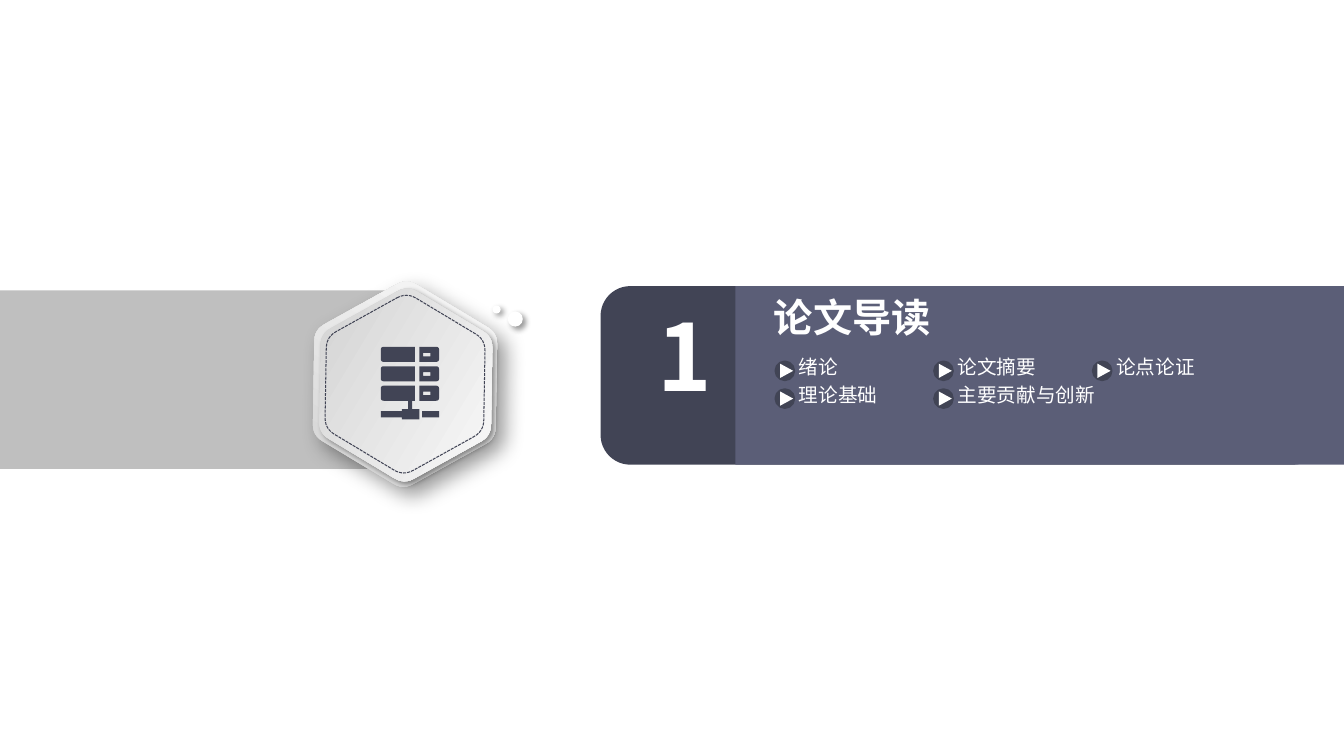
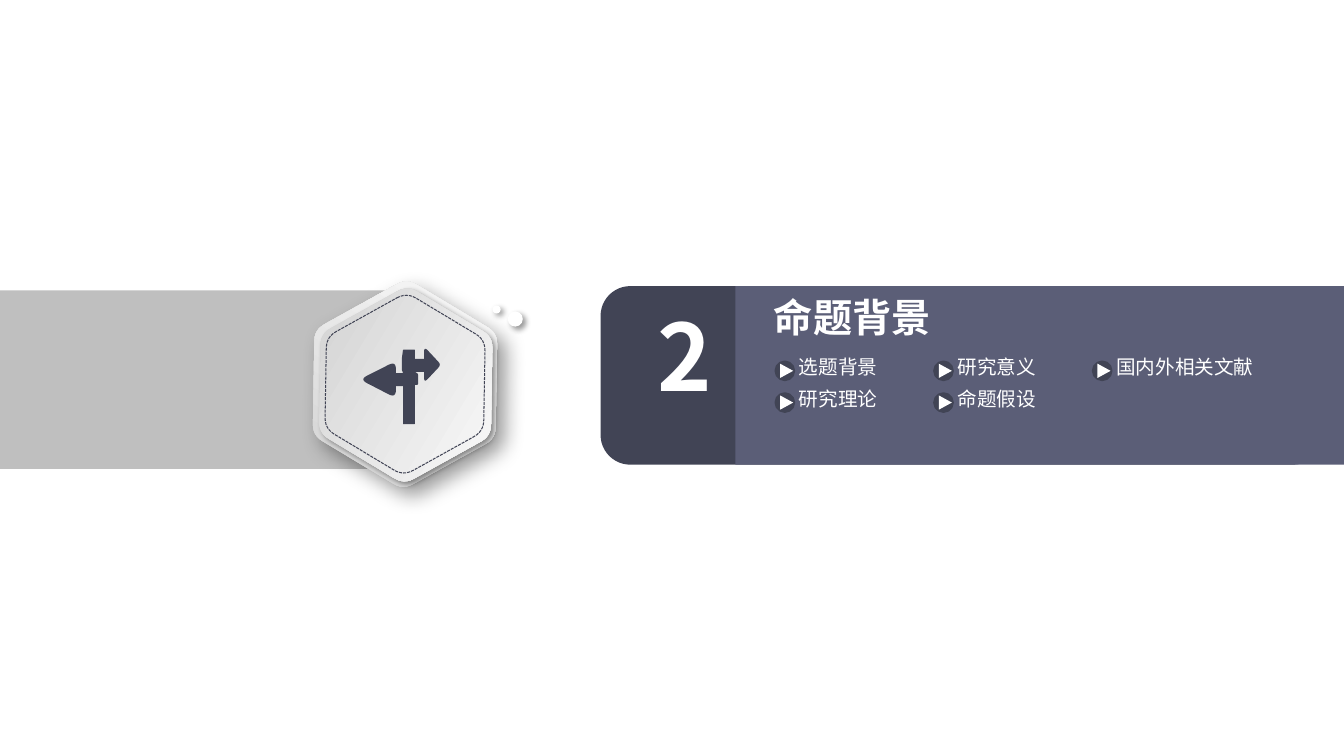
import math

import lxml.etree
import pptx
import pptx.dml.color
import pptx.enum.dml
import pptx.enum.shapes
import pptx.enum.text
import pptx.oxml.ns
import pptx.util

Cm = pptx.util.Cm
Pt = pptx.util.Pt
RGBColor = pptx.dml.color.RGBColor
SHAPE = pptx.enum.shapes.MSO_SHAPE
ALIGN = pptx.enum.text.PP_ALIGN
qn = pptx.oxml.ns.qn

WHITE = RGBColor(0xFF, 0xFF, 0xFF)
BAND_GRAY = RGBColor(0xBF, 0xBF, 0xBF)
DARK = RGBColor(0x41, 0x44, 0x55)
SLATE = RGBColor(0x5B, 0x5E, 0x77)
METAL = (RGBColor(0xD3, 0xD3, 0xD3), RGBColor(0xF9, 0xF9, 0xF9))

FONT = "Noto Sans CJK SC"
TEXT_STYLES = {
    "number": {"size": Pt(66), "bold": True},
    "title": {"size": Pt(28), "bold": True},
    "item": {"size": Pt(14), "bold": False},
}
# Blur and distance in points
DEEP_SHADOW = (15, 9)
SOFT_SHADOW = (4, 3)

SLIDE_WIDTH, SLIDE_HEIGHT = 33.88, 19.05
PANEL_TOP, BAND_HEIGHT = 7.21, 4.5
ITEM_LEFT, ITEM_TOP, ITEM_PITCH = 19.56, 9.12, 4.0
ITEM_COLUMNS = 3


def rounded(corners, steps=6):
    """Points of a polygon whose corners (x, y, cut) are rounded off."""
    points = []
    for index, (x, y, cut) in enumerate(corners):
        if not cut:
            points.append((x, y))
            continue
        ends = []
        for near_x, near_y, _ in (corners[index - 1],
                                  corners[(index + 1) % len(corners)]):
            share = cut / math.hypot(near_x - x, near_y - y)
            ends.append((x + share * (near_x - x), y + share * (near_y - y)))
        for step in range(steps + 1):
            t = step / steps
            points.append(tuple(
                (1 - t) ** 2 * start + 2 * t * (1 - t) * corner + t ** 2 * end
                for start, corner, end in zip(ends[0], (x, y), ends[1])))
    return points


def box(left, top, right, bottom, left_cut=0, right_cut=0):
    return rounded([(left, top, left_cut), (right, top, right_cut),
                    (right, bottom, right_cut), (left, bottom, left_cut)])


def hexagon(center_x, center_y, radius, cut=0.28, tilt=1):
    angles = [math.radians(60 * side + tilt) for side in range(6)]
    return rounded([(center_x + radius * math.sin(angle),
                     center_y - radius * math.cos(angle), cut)
                    for angle in angles])


def server_icon():
    contours = []
    for row in range(3):
        top = 8.74 + 0.49 * row
        contours += [
            box(9.6, top, 10.46, top + 0.38, left_cut=0.08),
            box(10.57, top, 11.07, top + 0.38, right_cut=0.08),
            box(10.67, top + 0.15, 10.85, top + 0.24),
        ]
    return contours + [
        box(10.29, 10.1, 10.39, 10.31),
        box(10.13, 10.31, 10.57, 10.57),
        box(9.6, 10.36, 10.13, 10.52),
        box(10.64, 10.36, 11.07, 10.52),
    ]


def signpost_icon():
    return [rounded([
        (10.16, 8.81, 0.02), (10.46, 8.81, 0.02), (10.46, 9.04, 0),
        (10.69, 9.04, 0), (10.69, 8.73, 0.14), (11.12, 9.19, 0.1),
        (10.69, 9.65, 0.14), (10.69, 9.37, 0), (10.46, 9.37, 0),
        (10.54, 9.42, 0.04), (10.54, 9.7, 0.04), (10.46, 9.7, 0),
        (10.46, 10.69, 0.02), (10.16, 10.69, 0.02), (10.16, 9.73, 0),
        (9.98, 9.73, 0), (9.98, 10.03, 0.2), (9.07, 9.56, 0.2),
        (9.98, 9.1, 0.2), (9.98, 9.4, 0), (10.16, 9.4, 0),
        (10.13, 9.32, 0), (10.13, 9.04, 0.03),
    ])]


class SectionDeck:
    """Holds the presentation, its style and the current slide."""

    def __init__(self):
        self.presentation = pptx.Presentation()
        self.presentation.slide_width = Cm(SLIDE_WIDTH)
        self.presentation.slide_height = Cm(SLIDE_HEIGHT)
        self.slide = None

    def new_slide(self):
        layout = self.presentation.slide_layouts[6]
        self.slide = self.presentation.slides.add_slide(layout)

    def finish(self, shape, fill=None, gradient_angle=None, shadow=None):
        """Apply fill and shadow; the outline starts out absent."""
        shape.line.fill.background()
        shape.shadow.inherit = False
        if gradient_angle is not None:
            shape.fill.gradient()
            shape.fill.gradient_angle = gradient_angle
            for stop, color in zip(shape.fill.gradient_stops, METAL):
                stop.color.rgb = color
        elif fill is not None:
            shape.fill.solid()
            shape.fill.fore_color.rgb = fill
        else:
            shape.fill.background()
        if shadow:
            blur, distance = shadow
            effects = shape._element.spPr.find(qn("a:effectLst"))
            outer = lxml.etree.SubElement(
                effects, qn("a:outerShdw"), blurRad=str(Pt(blur)),
                dist=str(Pt(distance)), dir="2700000", algn="tl",
                rotWithShape="0")
            color = lxml.etree.SubElement(outer, qn("a:srgbClr"), val="000000")
            lxml.etree.SubElement(color, qn("a:alpha"), val="40000")
        return shape

    def shape(self, kind, left, top, width, height, fill, shadow=None):
        shape = self.slide.shapes.add_shape(
            kind, Cm(left), Cm(top), Cm(width), Cm(height))
        return self.finish(shape, fill, shadow=shadow)

    def outline(self, contours, **finish):
        """Draw closed contours as one freeform."""
        contours = [[(Cm(x), Cm(y)) for x, y in contour]
                    for contour in contours]
        builder = self.slide.shapes.build_freeform(*contours[0][0])
        for index, contour in enumerate(contours):
            if index:
                builder.move_to(*contour[0])
            builder.add_line_segments(contour[1:], close=True)
        return self.finish(builder.convert_to_shape(), **finish)

    def text(self, style, text, left, top, width, height, align=ALIGN.LEFT):
        frame = self.slide.shapes.add_textbox(
            Cm(left), Cm(top), Cm(width), Cm(height)).text_frame
        frame_format = {"word_wrap": True, "margin_left": 0, "margin_top": 0,
                        "margin_right": 0, "margin_bottom": 0}
        for name, value in frame_format.items():
            setattr(frame, name, value)
        paragraph = frame.paragraphs[0]
        paragraph.alignment = align
        paragraph.line_spacing = 0.9
        run = paragraph.add_run()
        run.text = text
        for name, value in {"name": FONT, **TEXT_STYLES[style]}.items():
            setattr(run.font, name, value)
        run.font.color.rgb = WHITE
        lxml.etree.SubElement(run._r.get_or_add_rPr(), qn("a:ea"),
                              typeface=FONT)

    def badge(self, icon):
        """Gray band with the layered hexagon, its dots and an icon."""
        self.shape(SHAPE.RECTANGLE, 0, 7.32, 10.34, BAND_HEIGHT, BAND_GRAY)
        self.outline([hexagon(10.21, 9.68, 2.66)], gradient_angle=59,
                     shadow=DEEP_SHADOW)
        self.outline([hexagon(10.23, 9.7, 2.5)], gradient_angle=329,
                     shadow=SOFT_SHADOW)
        stitching = self.outline([hexagon(10.21, 9.68, 2.31)])
        stitching.line.color.rgb = DARK
        stitching.line.width = Pt(0.75)
        stitching.line.dash_style = pptx.enum.dml.MSO_LINE.SQUARE_DOT
        for left, top, size in ((12.42, 7.7, 0.2), (12.8, 7.85, 0.38)):
            self.shape(SHAPE.OVAL, left, top, size, size, WHITE, SOFT_SHADOW)
        self.outline(icon, fill=DARK)

    def panel(self, number, title):
        self.shape(SHAPE.ROUNDED_RECTANGLE, 15.14, PANEL_TOP, 18.21,
                   BAND_HEIGHT, DARK)
        self.shape(SHAPE.RECTANGLE, 18.54, PANEL_TOP, SLIDE_WIDTH - 18.54,
                   BAND_HEIGHT, SLATE)
        self.text("number", number, 16.25, 7.85, 2, 3.1, ALIGN.CENTER)
        self.text("title", title, 19.51, 7.52, 7.4, 1.3)

    def item(self, text, left, top):
        """Play marker with a label."""
        circle = self.shape(SHAPE.OVAL, left, top, 0.45, 0.45, DARK)
        circle.line.color.rgb = DARK
        circle.line.width = Pt(2)
        triangle = self.shape(SHAPE.ISOSCELES_TRIANGLE, left + 0.09,
                              top + 0.06, 0.36, 0.33, WHITE)
        triangle.rotation = 90
        self.text("item", text, left + 0.58, top - 0.1, 3.6, 0.61)

    def section(self, number, title, items, row_pitch, icon):
        self.new_slide()
        self.badge(icon)
        self.panel(number, title)
        for index, text in enumerate(items):
            row, column = divmod(index, ITEM_COLUMNS)
            self.item(text, ITEM_LEFT + column * ITEM_PITCH,
                      ITEM_TOP + row * row_pitch)


def main():
    deck = SectionDeck()
    deck.section("1", "论文导读",
                 ["绪论", "论文摘要", "论点论证", "理论基础", "主要贡献与创新"],
                 0.7, server_icon())
    deck.section("2", "命题背景",
                 ["选题背景", "研究意义", "国内外相关文献", "研究理论", "命题假设"],
                 0.8, signpost_icon())
    deck.presentation.save("out.pptx")


if __name__ == "__main__":
    main()
